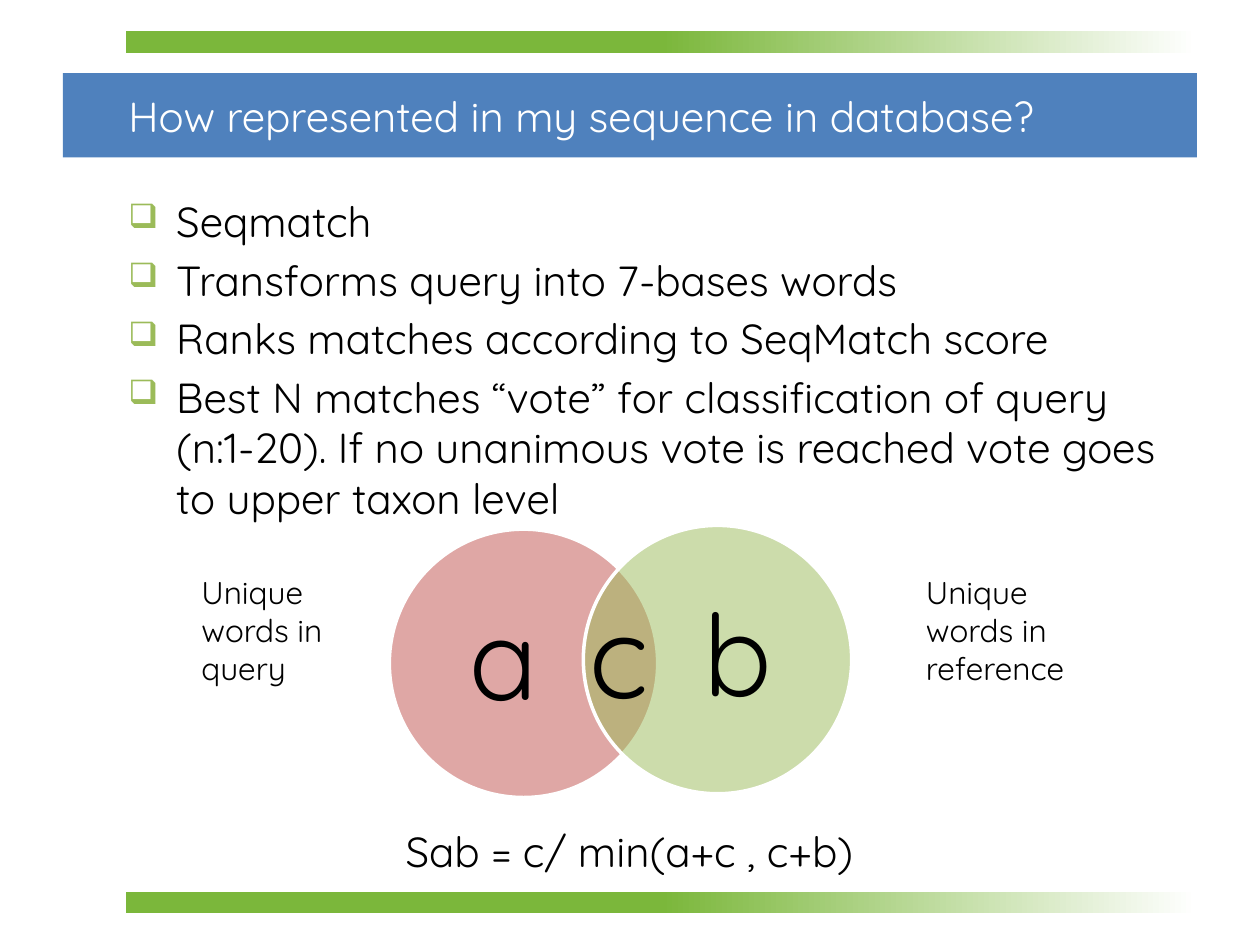
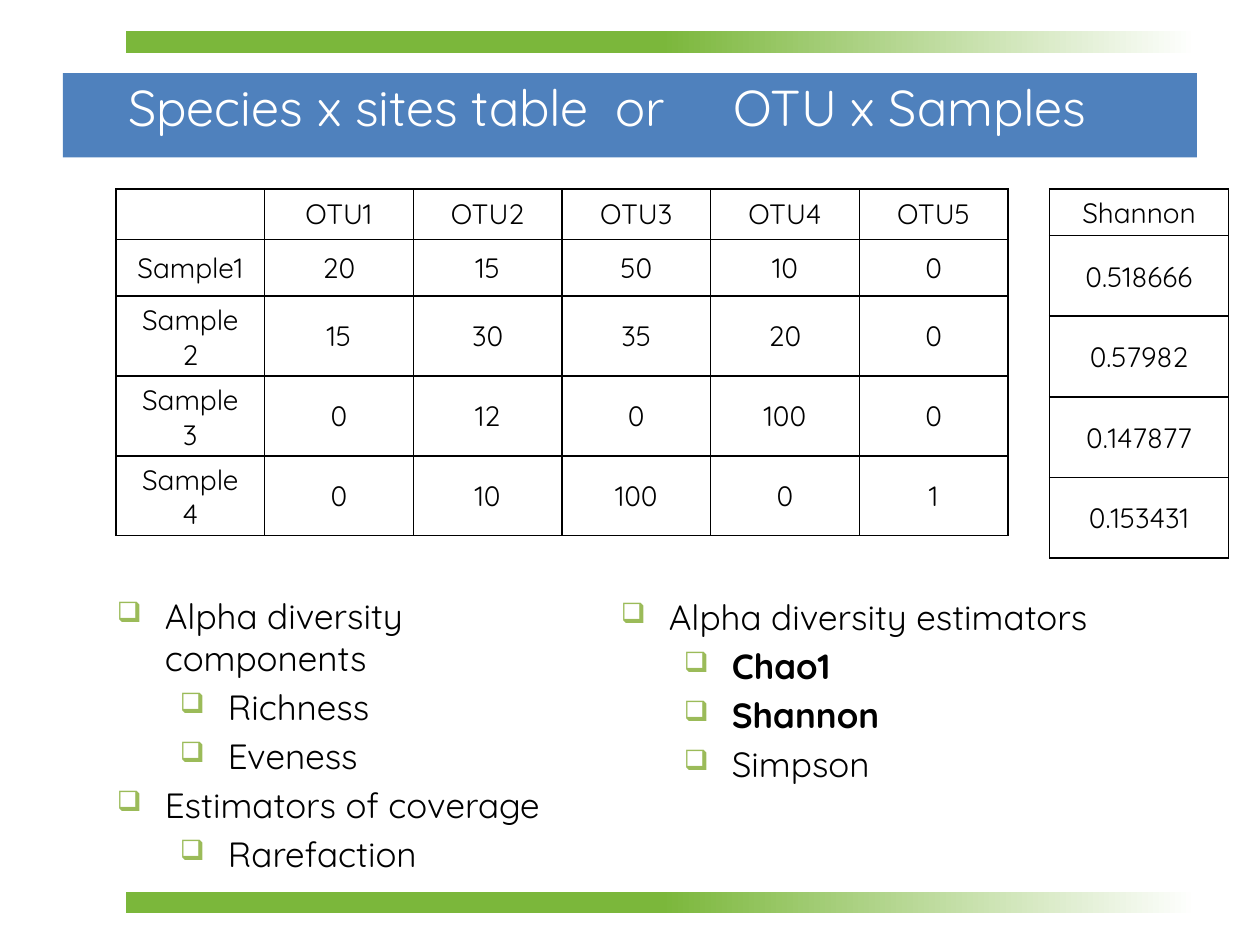
import pptx
import pptx.dml.color
import pptx.enum.shapes
import pptx.enum.text
import pptx.oxml.ns
import pptx.util
from lxml import etree

Inches = pptx.util.Inches
Pt = pptx.util.Pt
RGBColor = pptx.dml.color.RGBColor
Shape = pptx.enum.shapes.MSO_SHAPE
Align = pptx.enum.text.PP_ALIGN
Anchor = pptx.enum.text.MSO_ANCHOR
qn = pptx.oxml.ns.qn

BLACK = RGBColor(0x00, 0x00, 0x00)
WHITE = RGBColor(0xFF, 0xFF, 0xFF)
BLUE = RGBColor(0x4F, 0x81, 0xBD)
BAND_GREEN = RGBColor(0x7B, 0xB7, 0x3B)
GREEN = RGBColor(0x9B, 0xBB, 0x59)
RED = RGBColor(0xC0, 0x50, 0x4D)


def add_element(parent, tag, **attributes):
    element = etree.SubElement(parent, qn(tag))
    for name, value in attributes.items():
        element.set(name, str(value))
    return element


class Deck:
    font = "Quicksand"

    def __init__(self):
        self.presentation = pptx.Presentation()
        self.presentation.slide_width = Inches(10)
        self.presentation.slide_height = Inches(7.5)
        self.slide = None

    def add_slide(self, title, size=24, top=0.58, tabs=()):
        self.slide = self.presentation.slides.add_slide(self.presentation.slide_layouts[6])
        title_band = self.shape(Shape.RECTANGLE, 0.5, 0.58, 9, 0.67)
        title_band.fill.solid()
        title_band.fill.fore_color.rgb = BLUE
        for band_top in (0.25, 7.08):
            self.fading_band(band_top)
        shape = self.text([title], 0.92, top, 8.58, 0.67, size, color=WHITE, anchor=Anchor.MIDDLE)
        if tabs:
            properties = shape.text_frame.paragraphs[0]._p.get_or_add_pPr()
            tab_list = add_element(properties, "a:tabLst")
            for position in tabs:
                add_element(tab_list, "a:tab", pos=Inches(position), algn="l")

    def shape(self, kind, left, top, width, height):
        shape = self.slide.shapes.add_shape(kind, Inches(left), Inches(top), Inches(width), Inches(height))
        shape.shadow.inherit = False
        shape.line.fill.background()
        return shape

    def fading_band(self, top):
        band = self.shape(Shape.RECTANGLE, 1, top, 8.5, 0.17)
        band.fill.gradient()
        band.fill.gradient_angle = 0
        for stop, position, color in zip(band.fill.gradient_stops, (0.5, 1), (BAND_GREEN, WHITE)):
            stop.position = position
            stop.color.rgb = color

    def circle(self, left, top, diameter, color):
        circle = self.shape(Shape.OVAL, left, top, diameter, diameter)
        circle.fill.solid()
        circle.fill.fore_color.rgb = color
        circle.line.color.rgb = WHITE
        circle.line.width = Pt(2)
        solid_color = circle._element.spPr.find(qn("a:solidFill"))[0]
        add_element(solid_color, "a:alpha", val=50000)

    def run(self, paragraph, text, size, color=BLACK, bold=False):
        run = paragraph.add_run()
        run.text = text
        run.font.name = self.font
        run.font.size = Pt(size)
        run.font.color.rgb = color
        run.font.bold = bold

    def text(self, lines, left, top, width, height, size, color=BLACK,
             align=Align.LEFT, anchor=Anchor.TOP):
        shape = self.slide.shapes.add_textbox(Inches(left), Inches(top), Inches(width), Inches(height))
        frame = shape.text_frame
        frame.word_wrap = True
        frame.vertical_anchor = anchor
        for index, line in enumerate(lines):
            paragraph = frame.add_paragraph() if index else frame.paragraphs[0]
            paragraph.alignment = align
            self.run(paragraph, line, size, color)
        return shape

    def letter(self, text, left, top):
        frame = self.text([text], left, top, 1.23, 1.63, 65,
                          align=Align.CENTER, anchor=Anchor.MIDDLE).text_frame
        frame.margin_left = frame.margin_right = frame.margin_top = frame.margin_bottom = 0
        frame.paragraphs[0].line_spacing = 0.9

    def bullets(self, items, left, top, width, height, size):
        shape = self.text([text for text, level, bold in items], left, top, width, height, size)
        for index, (paragraph, (text, level, bold)) in enumerate(zip(shape.text_frame.paragraphs, items)):
            paragraph.level = level
            properties = paragraph._p.get_or_add_pPr()
            properties.set("marL", str(Inches(0.38 + 0.5 * level)))
            properties.set("indent", str(Inches(-0.38)))
            add_element(add_element(properties, "a:buClr"), "a:srgbClr", val=GREEN)
            add_element(properties, "a:buSzPct", val=80000)
            add_element(properties, "a:buChar", char="❑")
            paragraph.space_before = Pt(0.2 * size if index else 0)
            paragraph.runs[0].font.bold = bold

    def table(self, rows, left, top, column_width, row_heights, header_margins, margins):
        frame = self.slide.shapes.add_table(
            len(rows), len(rows[0]), Inches(left), Inches(top),
            Inches(column_width * len(rows[0])), Inches(sum(row_heights)))
        table = frame.table
        table.first_row = table.horz_banding = False
        for column in table.columns:
            column.width = Inches(column_width)
        for row_index, values in enumerate(rows):
            table.rows[row_index].height = Inches(row_heights[row_index])
            for column_index, value in enumerate(values):
                cell = table.cell(row_index, column_index)
                self.cell(cell, value, margins if row_index else header_margins)

    def cell(self, cell, value, margins):
        side, top, bottom = margins
        cell.margin_left = cell.margin_right = Inches(side)
        cell.margin_top, cell.margin_bottom = Inches(top), Inches(bottom)
        cell.vertical_anchor = Anchor.MIDDLE
        paragraph = cell.text_frame.paragraphs[0]
        paragraph.alignment = Align.CENTER
        self.run(paragraph, value, 16)
        properties = cell._tc.get_or_add_tcPr()
        for edge in ("a:lnL", "a:lnR", "a:lnT", "a:lnB"):
            line = add_element(properties, edge, w=Pt(1))
            add_element(add_element(line, "a:solidFill"), "a:srgbClr", val=BLACK)
        cell.fill.background()


def add_seqmatch_slide(deck):
    deck.add_slide("How represented in my sequence in database?")
    points = [
        "Seqmatch",
        "Transforms query into 7-bases words",
        "Ranks matches according to SeqMatch score",
        "Best N matches “vote” for classification of query (n:1-20). "
        "If no unanimous vote is reached vote goes to upper taxon level",
    ]
    deck.bullets([(point, 0, False) for point in points], 0.92, 1.5, 8.58, 4.58, 24)
    deck.circle(3.09, 4.2, 2.13, RED)
    deck.letter("a", 3.38, 4.45)
    deck.circle(4.63, 4.17, 2.13, GREEN)
    deck.letter("b", 5.24, 4.42)
    deck.text(["c"], 4.58, 4.58, 0.42, 1.21, 66)
    deck.text(["Unique words in query"], 1.5, 4.5, 1.17, 1.01, 18)
    deck.text(["Unique words in reference"], 7.25, 4.5, 1.5, 1.01, 18)
    deck.text(["Sab = c/ min(a+c , c+b)"], 1.58, 6.5, 6.83, 0.5, 24, align=Align.CENTER)


def add_diversity_slide(deck):
    deck.add_slide("Species x sites table\tor\tOTU x Samples", size=28.8, top=0.51, tabs=(3.87, 4.8))
    counts = [
        (20, 15, 50, 10, 0),
        (15, 30, 35, 20, 0),
        (0, 12, 0, 100, 0),
        (0, 10, 100, 0, 1),
    ]
    rows = [[""] + [f"OTU{number}" for number in range(1, 6)]]
    for number, sample_counts in enumerate(counts, 1):
        rows.append([f"Sample{number}"] + [str(count) for count in sample_counts])
    wide_margins = (0.15, 0.05, 0.05)
    deck.table(rows, 0.92, 1.5, 1.18, [0.3] + [0.45] * 4, wide_margins, wide_margins)
    shannon = ["Shannon", "0.518666", "0.57982", "0.147877", "0.153431"]
    deck.table([[value] for value in shannon], 8.33, 1.5, 1.42, [0.37] + [0.64] * 4,
               (0.1, 0.05, 0.05), (0.01, 0.01, 0))
    components = [
        ("Alpha diversity components", 0, False),
        ("Richness", 1, False),
        ("Eveness", 1, False),
        ("Estimators of coverage", 0, False),
        ("Rarefaction", 1, False),
    ]
    estimators = [
        ("Alpha diversity estimators", 0, False),
        ("Chao1", 1, True),
        ("Shannon", 1, True),
        ("Simpson", 1, False),
    ]
    deck.bullets(components, 0.83, 4.67, 4, 2.39, 20)
    deck.bullets(estimators, 4.83, 4.68, 4, 1.65, 20)


def main():
    deck = Deck()
    add_seqmatch_slide(deck)
    add_diversity_slide(deck)
    deck.presentation.save("out.pptx")


if __name__ == "__main__":
    main()
